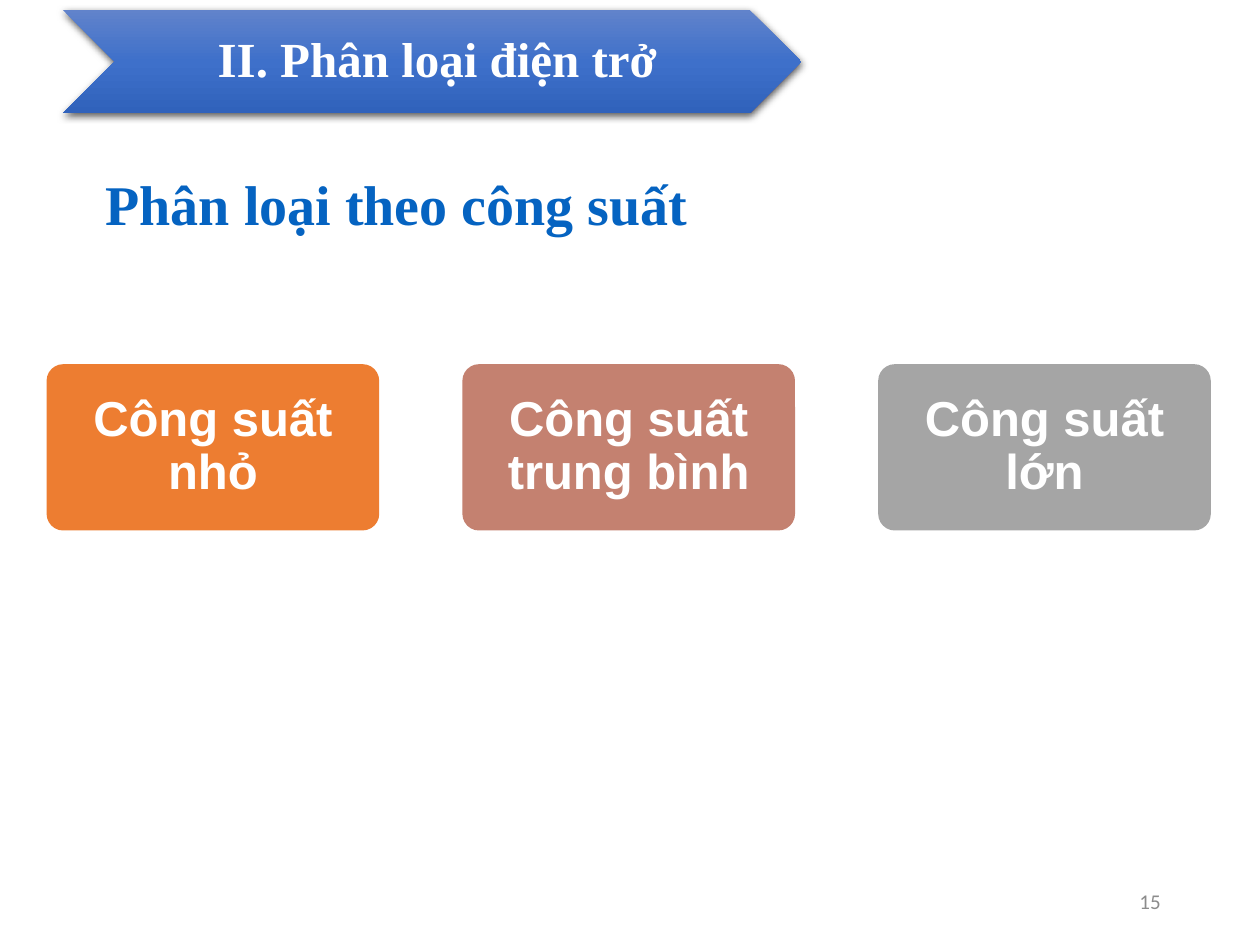
import pptx
import pptx.util
import pptx.dml.color
import pptx.enum.shapes
import pptx.enum.text
import pptx.oxml
import pptx.oxml.ns

Inches = pptx.util.Inches
Pt = pptx.util.Pt
Shapes = pptx.enum.shapes.MSO_SHAPE
Align = pptx.enum.text.PP_ALIGN
Anchor = pptx.enum.text.MSO_ANCHOR
NAMESPACE = pptx.oxml.ns.nsdecls("a")


def color(value):
    return pptx.dml.color.RGBColor.from_string(value)


class SlideBuilder:
    heading_font = "Times New Roman"
    card_font = "Arial"
    number_font = "Calibri"
    white = "FFFFFF"
    label_size = 28

    def __init__(self, presentation):
        self.slide = presentation.slides.add_slide(presentation.slide_layouts[6])

    def set_text(self, shape, text, font, size, hex_color, bold=True, align=Align.CENTER,
                 anchor=Anchor.MIDDLE, line_spacing=0.9, space_before=0, insets=None):
        text_frame = shape.text_frame
        text_frame.word_wrap = True
        text_frame.vertical_anchor = anchor
        if insets:
            (text_frame.margin_left, text_frame.margin_top,
             text_frame.margin_right, text_frame.margin_bottom) = map(Inches, insets)
        text_frame.text = text
        paragraph = text_frame.paragraphs[0]
        paragraph.alignment = align
        paragraph.line_spacing = line_spacing
        paragraph.space_before = Pt(space_before)
        run_font = paragraph.runs[0].font
        run_font.name = font
        run_font.size = Pt(size)
        run_font.bold = bold
        run_font.color.rgb = color(hex_color)

    def shape(self, kind, left, top, width, height):
        shape = self.slide.shapes.add_shape(
            kind, Inches(left), Inches(top), Inches(width), Inches(height))
        shape.shadow.inherit = False
        shape.line.fill.background()
        return shape

    def banner(self, text, left, top, width, height, stops):
        banner = self.shape(Shapes.CHEVRON, left, top, width, height)
        banner.fill.background()
        properties = banner._element.spPr
        stop_xml = "".join(
            f'<a:gs pos="{position * 1000}"><a:srgbClr val="{value}"/></a:gs>'
            for position, value in stops)
        gradient = pptx.oxml.parse_xml(
            f'<a:gradFill {NAMESPACE}><a:gsLst>{stop_xml}</a:gsLst>'
            '<a:lin ang="5400000" scaled="0"/></a:gradFill>')
        properties.replace(properties.find(pptx.oxml.ns.qn("a:noFill")), gradient)
        shadow = pptx.oxml.parse_xml(
            f'<a:outerShdw {NAMESPACE} blurRad="{Pt(4.5)}" dist="{Pt(1.5)}" dir="5400000" '
            'algn="ctr" rotWithShape="0"><a:srgbClr val="000000">'
            '<a:alpha val="63000"/></a:srgbClr></a:outerShdw>')
        properties.find(pptx.oxml.ns.qn("a:effectLst")).append(shadow)
        self.set_text(banner, text, self.heading_font, self.label_size, self.white,
                      insets=(0.12, 0.04, 0.04, 0.04))

    def card(self, text, left, top, width, height, fill):
        card = self.shape(Shapes.ROUNDED_RECTANGLE, left, top, width, height)
        card.adjustments[0] = 0.1
        card.fill.solid()
        card.fill.fore_color.rgb = color(fill)
        self.set_text(card, text, self.card_font, self.label_size, self.white,
                      insets=(0.06, 0.04, 0.06, 0.04))

    def text(self, text, left, top, width, height, font, size, hex_color, **style):
        box = self.slide.shapes.add_textbox(
            Inches(left), Inches(top), Inches(width), Inches(height))
        self.set_text(box, text, font, size, hex_color, **style)


def main():
    presentation = pptx.Presentation()
    presentation.slide_width = Inches(10)
    presentation.slide_height = Inches(7.5)
    builder = SlideBuilder(presentation)

    builder.banner("II. Phân loại điện trở", 0.5, 0.08, 5.86, 0.82,
                   [(0, "6183CB"), (50, "3E70CA"), (100, "3062BB")])

    card_width = 2.64
    card_gap = card_width / 4
    cards = [("Công suất nhỏ", "ED7D31"),
             ("Công suất trung bình", "C48170"),
             ("Công suất lớn", "A5A5A5")]
    for index, (label, fill) in enumerate(cards):
        left = 0.37 + index * (card_width + card_gap)
        builder.card(label, left, 2.89, card_width, card_width / 2, fill)

    builder.text("Phân loại theo công suất", 0.37, 1.36, 5.56, 1.48,
                 builder.heading_font, 32, "0563C1", anchor=Anchor.TOP, space_before=10)
    builder.text("15", 7.06, 6.95, 2.25, 0.4, builder.number_font, 12, "8C8C8C",
                 bold=False, align=Align.RIGHT, line_spacing=1.0)

    presentation.save("out.pptx")


if __name__ == "__main__":
    main()
